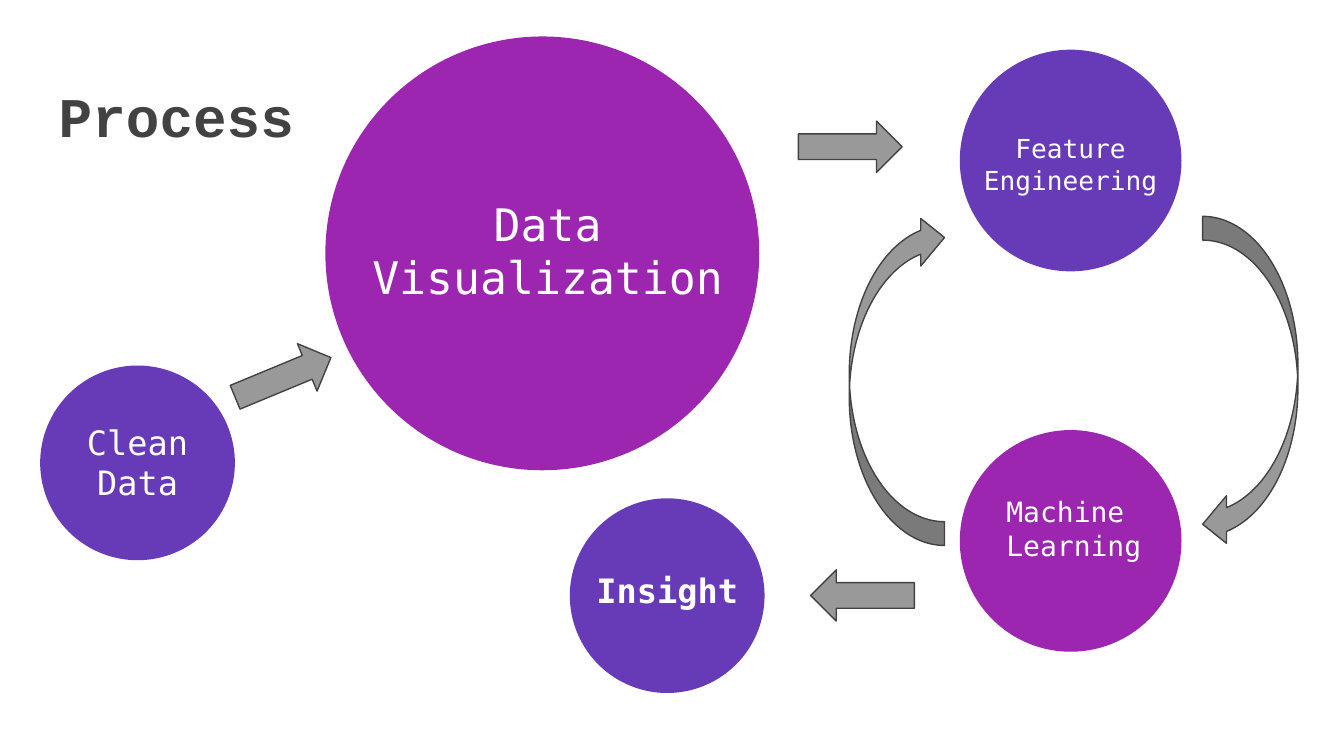
from dataclasses import dataclass

from pptx import Presentation
from pptx.dml.color import RGBColor
from pptx.enum.shapes import MSO_SHAPE
from pptx.enum.text import MSO_ANCHOR, MSO_AUTO_SIZE, PP_ALIGN
from pptx.util import Cm, Pt

ELLIPSE = MSO_SHAPE.OVAL
RIGHT_ARROW = MSO_SHAPE.RIGHT_ARROW
CURVED_ARROW = MSO_SHAPE.CURVED_LEFT_ARROW
MIDDLE, BOTTOM = MSO_ANCHOR.MIDDLE, MSO_ANCHOR.BOTTOM
LEFT, CENTER = PP_ALIGN.LEFT, PP_ALIGN.CENTER
NO_FIT = MSO_AUTO_SIZE.NONE
TITLE_ONLY = 5


@dataclass(frozen=True)
class Theme:
    title_font: str = "Courier New"
    label_font: str = "DejaVu Sans Mono"
    dark: str = "424242"
    white: str = "FFFFFF"
    violet: str = "673AB7"
    magenta: str = "9C26B0"
    grey: str = "999999"
    title_size: int = 30
    large: int = 24
    medium: int = 18
    small: int = 15
    tiny: int = 14
    outline: float = 0.75
    inset: float = 0.25


class SlideBuilder:
    def __init__(self, slide, theme):
        self.s = slide
        self.theme = theme

    def fill_text(self, sp, lines, font, size, color, bold, align, anchor):
        tf = sp.text_frame
        inset = Cm(self.theme.inset)
        frame = {"word_wrap": True, "auto_size": NO_FIT, "vertical_anchor": anchor,
                 "margin_left": inset, "margin_right": inset,
                 "margin_top": inset, "margin_bottom": inset}
        for name, value in frame.items():
            setattr(tf, name, value)
        for i, line in enumerate(lines):
            p = tf.add_paragraph() if i else tf.paragraphs[0]
            p.alignment = align
            r = p.add_run()
            r.text = line
            for name, value in {"name": font, "size": Pt(size), "bold": bold}.items():
                setattr(r.font, name, value)
            r.font.color.rgb = RGBColor.from_string(color)

    def title(self, text, left, top, width, height):
        sp = self.s.shapes.title
        box = {"left": left, "top": top, "width": width, "height": height}
        for name, value in box.items():
            setattr(sp, name, Cm(value))
        t = self.theme
        self.fill_text(sp, [text], t.title_font, t.title_size, t.dark, True, LEFT, BOTTOM)

    def shape(self, kind, left, top, width, height, color):
        sp = self.s.shapes.add_shape(kind, Cm(left), Cm(top), Cm(width), Cm(height))
        sp.shadow.inherit = False
        sp.fill.solid()
        sp.fill.fore_color.rgb = RGBColor.from_string(color)
        return sp

    def circle(self, left, top, diameter, color):
        sp = self.shape(ELLIPSE, left, top, diameter, diameter, color)
        sp.line.fill.background()

    def arrow(self, kind, left, top, width, height, rotation=0):
        sp = self.shape(kind, left, top, width, height, self.theme.grey)
        sp.rotation = rotation
        sp.line.color.rgb = RGBColor.from_string(self.theme.dark)
        sp.line.width = Pt(self.theme.outline)

    def label(self, lines, left, top, width, height, size, bold=False):
        sp = self.s.shapes.add_textbox(Cm(left), Cm(top), Cm(width), Cm(height))
        t = self.theme
        self.fill_text(sp, lines, t.label_font, size, t.white, bold, CENTER, MIDDLE)


def main():
    prs = Presentation()
    prs.slide_width, prs.slide_height = Cm(25.4), Cm(14.29)
    theme = Theme()
    slide = SlideBuilder(prs.slides.add_slide(prs.slide_layouts[TITLE_ONLY]), theme)

    slide.title("Process", 0.86, 1.04, 23.67, 2.03)

    # Circle left, top, diameter, colour; label lines, box, size, bold
    steps = [
        ((0.76, 6.91, 3.68, theme.violet),
         (["Clean", "Data"], 0.76, 7.9, 3.68, 1.68, theme.medium)),
        ((6.15, 0.69, 8.2, theme.magenta),
         (["Data Visualization"], 6.25, 3.89, 8.2, 1.68, theme.large)),
        ((18.14, 0.94, 4.19, theme.violet),
         (["Feature Engineering"], 18.14, 2.26, 4.19, 1.68, theme.tiny)),
        ((18.14, 8.13, 4.19, theme.magenta),
         (["Machine ", "Learning"], 18.34, 8.86, 3.91, 2.26, theme.small)),
        ((10.77, 9.42, 3.68, theme.violet),
         (["Insight"], 10.77, 10.31, 3.68, 1.68, theme.medium, True)),
    ]
    for circle, label in steps:
        slide.circle(*circle)
        slide.label(*label)

    for left, top, rotation in [(4.37, 6.65, 337.5), (15.09, 2.29, 0), (15.32, 10.77, 180)]:
        slide.arrow(RIGHT_ARROW, left, top, 1.96, 0.97, rotation)
    for left, top, rotation in [(22.73, 4.09, 0), (16.05, 4.04, 180)]:
        slide.arrow(CURVED_ARROW, left, top, 1.8, 6.27, rotation)

    prs.save("out.pptx")


if __name__ == "__main__":
    main()
